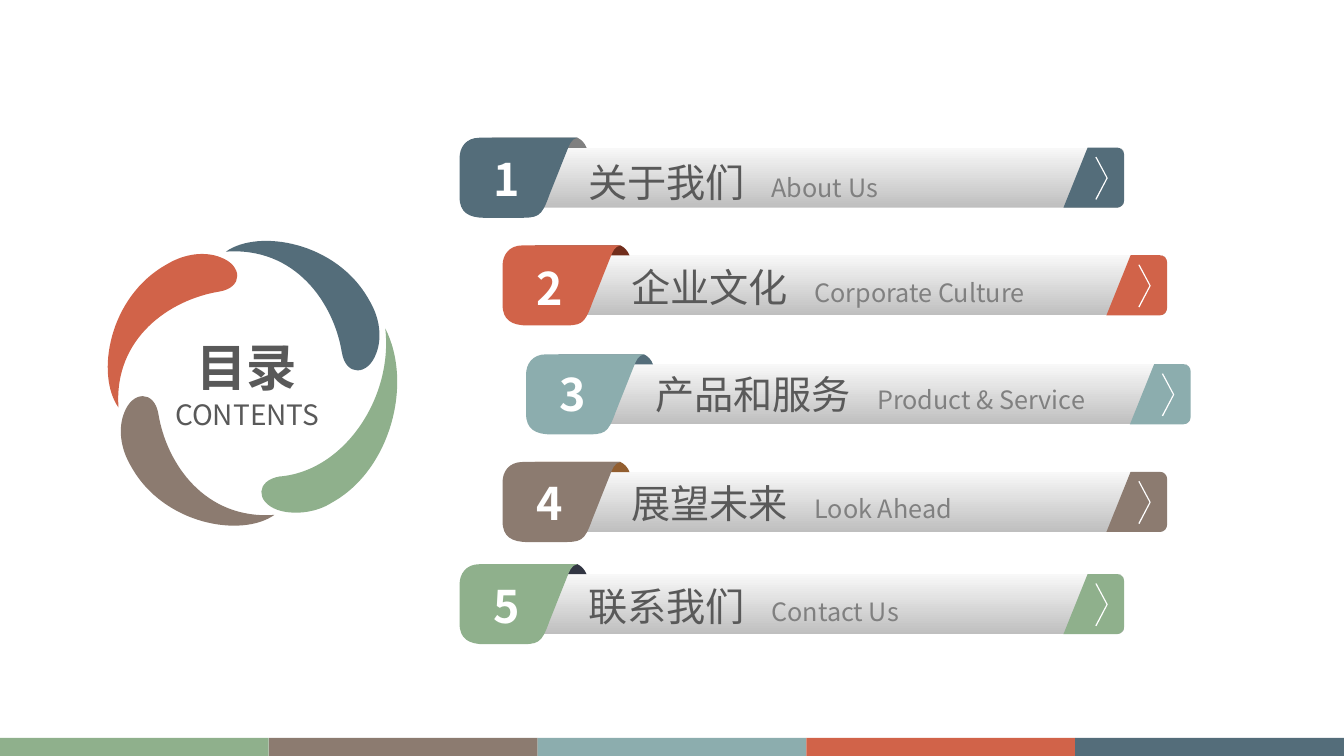
from lxml import etree
from pptx import Presentation
from pptx.dml.color import RGBColor
from pptx.enum.shapes import MSO_SHAPE
from pptx.enum.text import MSO_ANCHOR
from pptx.oxml.ns import qn
from pptx.util import Pt

RECTANGLE = MSO_SHAPE.RECTANGLE
ROUNDED = MSO_SHAPE.ROUNDED_RECTANGLE
TOP = MSO_ANCHOR.TOP

BLUE = RGBColor(0x54, 0x6D, 0x7A)
RED = RGBColor(0xD1, 0x63, 0x49)
TEAL = RGBColor(0x8C, 0xAD, 0xAE)
BROWN = RGBColor(0x8C, 0x7B, 0x70)
GREEN = RGBColor(0x8F, 0xB0, 0x8C)
DARK_RED = RGBColor(0x71, 0x2D, 0x1C)
OCHRE = RGBColor(0x92, 0x5E, 0x30)
NAVY = RGBColor(0x32, 0x36, 0x43)
WHITE = RGBColor(0xFF, 0xFF, 0xFF)
DARK_GREY = RGBColor(0x59, 0x59, 0x59)
GREY = RGBColor(0x80, 0x80, 0x80)
BAR_LOW = RGBColor(0xBF, 0xBF, 0xBF)
BAR_HIGH = RGBColor(0xF8, 0xF8, 0xF8)

SLIDE_WIDTH, SLIDE_HEIGHT = 960, 540
STRIPE_HEIGHT = 13
WHEEL_CENTRE = (178.7, 273.8)
TITLE_SIZE = 28
TITLE_GAP = 18.7

# Outlines: a pair is a straight step, a triple of pairs is a Bezier step.
PETAL = [
    (65.5, -22),
    ((59.8, -57.2), (32.4, -97.6), (-17.3, -94)),
    ((5.8, -110.5), (61.9, -101.2), (85, -59.4)),
    ((92.9, -46.4), (94.3, -32), (90, -21.2)),
    ((84.2, -5.4), (68.4, -4.7), (65.5, -22)),
]
LONG_PETAL = [
    (20.9, 66.6),
    ((67, 63), (102.2, 10.4), (96.5, -39.2)),
    ((116.6, 0.4), (100.1, 62.3), (58.3, 85.3)),
    ((46.1, 93.2), (29.5, 94), (19.4, 90.4)),
    ((3.6, 84.6), (4.3, 69.5), (20.9, 66.6)),
]
END_TAB = [
    (448.6, 7), (469.4, 7),
    ((472.3, 7), (474.7, 9.2), (474.7, 12.2)),
    (474.7, 44.6),
    ((474.7, 47.5), (472.3, 50), (469.4, 50)),
    (431.3, 50),
]
CHEVRON = [(454.1, 13.9), (455, 13.7), (463, 28.8), (455, 44.2),
           (454.1, 43.9), (462.1, 28.8)]
FOLD = [(29.5, 7.2), (90.7, 7.2),
        ((89.3, 3.6), (87.1, 1.4), (84.2, 0)), (23, 0)]
BADGE = [
    (84.2, 0), (14.4, 0),
    ((4.3, 0), (0, 7.2), (0, 14.4)),
    (0, 42.5),
    ((0, 53.3), (6.5, 57.2), (18, 57.2)),
    (41, 57.2),
    ((56.2, 57.2), (58.3, 57.2), (64.1, 41)),
    (77, 8.6),
    ((78.5, 5), (79.9, 0.7), (84.2, 0)),
]

# left, top, number top, label top, colour, fold colour, title, subtitle
ENTRIES = [
    (328.3, 98.4, 105.1, 109.4, BLUE, GREY, "关于我们", "About Us"),
    (359, 175.3, 182.9, 184.3, RED, DARK_RED, "企业文化", "Corporate Culture"),
    (375.8, 253.1, 258.5, 261, TEAL, BLUE, "产品和服务", "Product & Service"),
    (359, 330, 336.2, 339.1, BROWN, OCHRE, "展望未来", "Look Ahead"),
    (328.3, 403, 409.7, 412.1, GREEN, NAVY, "联系我们", "Contact Us"),
]


def as_steps(outline):
    """Give every step as a tuple of points: one if straight, three if Bezier."""
    return [(step,) if len(step) == 2 else step for step in outline]


def flatten(steps, parts=16):
    """Sample the steps, to find how far the curves reach."""
    points = []
    for step in steps:
        if len(step) == 1:
            points.append(step[0])
            continue
        a, (b, c, d) = points[-1], step
        for t in (i / parts for i in range(1, parts + 1)):
            s = 1 - t
            points.append(tuple(
                s**3 * a[k] + 3 * s * s * t * b[k] + 3 * s * t * t * c[k] + t**3 * d[k]
                for k in (0, 1)))
    return points


class SlidePainter:
    def __init__(self, slide, font):
        self.shapes = slide.shapes
        self.font = font

    def finish(self, shape, colour):
        shape.shadow.inherit = False
        shape.line.fill.background()
        shape.fill.solid()
        shape.fill.fore_color.rgb = colour

    def outline(self, steps, origin, colour):
        """Draw a closed curved shape whose points are relative to origin."""
        placed = [[(Pt(origin[0] + x), Pt(origin[1] + y)) for x, y in step]
                  for step in steps]
        reach = flatten(placed)
        builder = self.shapes.build_freeform(*reach[0])
        builder.add_line_segments(reach[1:], close=True)
        shape = builder.convert_to_shape()
        contour = next(shape._element.iter(qn("a:path")))
        for part in list(contour):
            contour.remove(part)
        for index, step in enumerate(placed):
            tag = "a:cubicBezTo" if len(step) == 3 else "a:lnTo"
            part = etree.SubElement(contour, qn(tag if index else "a:moveTo"))
            for x, y in step:
                etree.SubElement(part, qn("a:pt"), x=str(x - shape.left),
                                 y=str(y - shape.top))
        etree.SubElement(contour, qn("a:close"))
        self.finish(shape, colour)

    def block(self, kind, left, top, width, height, colour):
        shape = self.shapes.add_shape(kind, Pt(left), Pt(top), Pt(width), Pt(height))
        self.finish(shape, colour)
        return shape

    def bar(self, left, top, width, height):
        shape = self.block(ROUNDED, left, top, width, height, BAR_LOW)
        shape.adjustments[0] = 0.12
        shape.fill.gradient()
        shape.fill.gradient_angle = 90
        for stop, colour, position in zip(
                shape.fill.gradient_stops, (BAR_LOW, BAR_HIGH), (0, 1)):
            stop.color.rgb = colour
            stop.position = position

    def text(self, left, top, width, height, spans, wrap=True, tab=None):
        """Each span is (text, size, colour, bold)."""
        box = self.shapes.add_textbox(Pt(left), Pt(top), Pt(width), Pt(height))
        frame = box.text_frame
        frame.word_wrap = wrap
        frame.vertical_anchor = TOP
        para = frame.paragraphs[0]
        if tab:
            tabs = etree.SubElement(para._p.get_or_add_pPr(), qn("a:tabLst"))
            etree.SubElement(tabs, qn("a:tab"), pos=str(Pt(tab)), algn="l")
        for words, size, colour, bold in spans:
            span = para.add_run()
            span.text = words
            span.font.size = Pt(size)
            span.font.bold = bold
            span.font.color.rgb = colour
            span.font.name = self.font
            etree.SubElement(span._r.get_or_add_rPr(), qn("a:ea"), typeface=self.font)


def draw_wheel(painter):
    painter.text(133.2, 236.2, 87, 51, [("目录", 36, DARK_GREY, True)], wrap=False)
    painter.text(118, 280.4, 123, 32, [("CONTENTS", 20, DARK_GREY, False)], wrap=False)
    steps = as_steps(PETAL)
    for colour in (BLUE, RED, BROWN):
        painter.outline(steps, WHEEL_CENTRE, colour)
        steps = [[(y, -x) for x, y in step] for step in steps]  # quarter turn left
    painter.outline(as_steps(LONG_PETAL), WHEEL_CENTRE, GREEN)


def draw_entry(painter, number, entry):
    left, top, number_top, label_top, colour, fold_colour, title, subtitle = entry
    painter.bar(left + 1.3, top + 7, 473.4, 43)
    for outline, fill in ((END_TAB, colour), (CHEVRON, WHITE),
                          (FOLD, fold_colour), (BADGE, colour)):
        painter.outline(as_steps(outline), (left, top), fill)
    painter.text(left + 16.9, number_top, 34.6, 46, [(str(number), 32, WHITE, True)])
    painter.text(left + 85, label_top, 389.5, 41,
                 [(title + "\t", TITLE_SIZE, DARK_GREY, False),
                  (subtitle, 18, GREY, False)],
                 tab=TITLE_SIZE * len(title) + TITLE_GAP)


def main():
    deck = Presentation()
    deck.slide_width, deck.slide_height = Pt(SLIDE_WIDTH), Pt(SLIDE_HEIGHT)
    page = deck.slides.add_slide(deck.slide_layouts[6])
    painter = SlidePainter(page, "Noto Sans CJK SC")
    draw_wheel(painter)
    for number, entry in enumerate(ENTRIES, 1):
        draw_entry(painter, number, entry)
    stripes = (GREEN, BROWN, TEAL, RED, BLUE)
    width = SLIDE_WIDTH / len(stripes)
    for i, colour in enumerate(stripes):
        painter.block(RECTANGLE, i * width, SLIDE_HEIGHT - STRIPE_HEIGHT,
                      width, STRIPE_HEIGHT, colour)
    deck.save("out.pptx")


if __name__ == "__main__":
    main()
